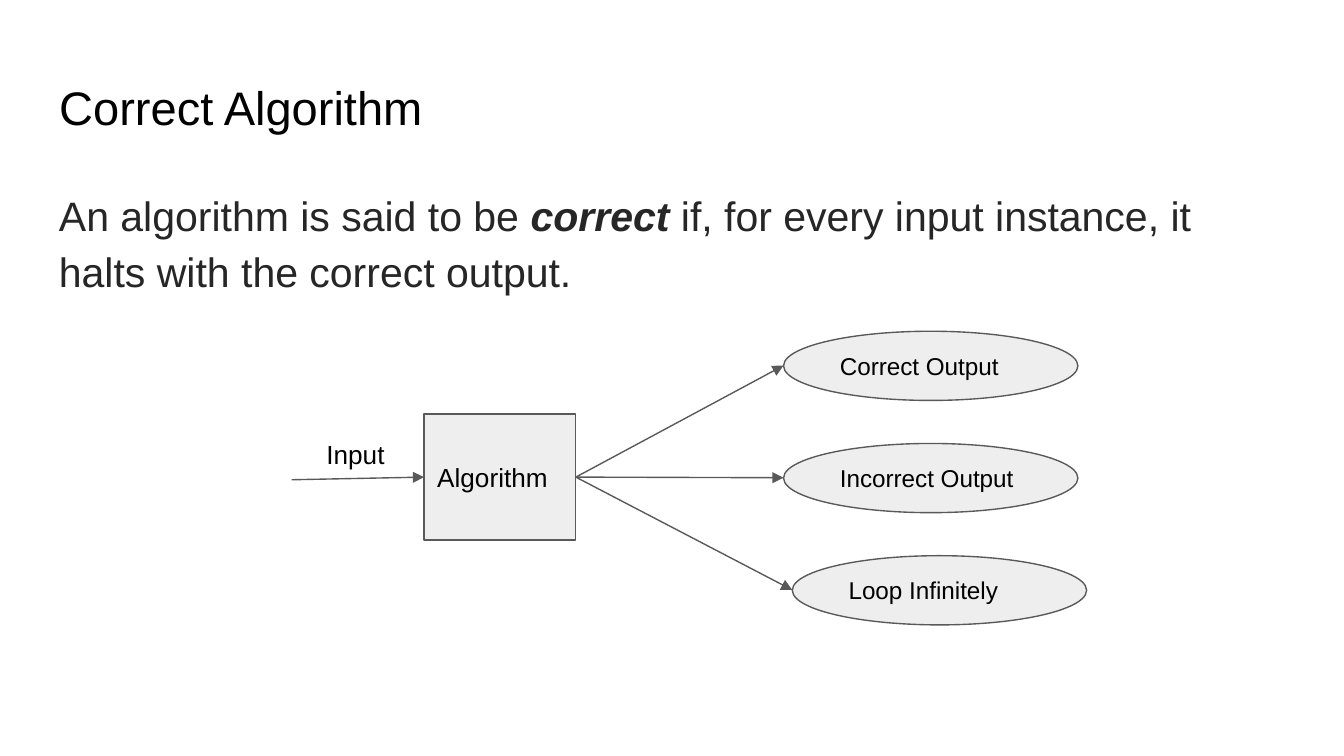
from typing import NamedTuple

from lxml.etree import SubElement
from pptx import Presentation
from pptx.dml.color import RGBColor
from pptx.enum.shapes import MSO_CONNECTOR, MSO_SHAPE
from pptx.enum.text import MSO_ANCHOR, PP_ALIGN
from pptx.oxml.ns import qn
from pptx.util import Emu, Pt

PX = 4572  # EMU per px, 200 px to the inch
FONT = "Arial"
BLACK, BODY, FILL, LINE = "000000", "262626", "EEEEEE", "595959"


class Box(NamedTuple):
    left: int
    top: int
    width: int
    height: int

    @property
    def left_mid(self) -> tuple[int, int]:
        return self.left, self.top + self.height // 2

    @property
    def right_mid(self) -> tuple[int, int]:
        return self.left + self.width, self.top + self.height // 2


class Node(NamedTuple):
    text: str
    box: Box
    shape: MSO_SHAPE
    size: int


ALGORITHM = Node("Algorithm", Box(631, 616, 226, 188), MSO_SHAPE.RECTANGLE, 14)
OUTCOMES = [
    Node(text, Box(left, 493 + 167 * row, 438, 103), MSO_SHAPE.OVAL, 13)
    for row, (text, left) in enumerate((
        ("Correct Output", 1166),
        ("Incorrect Output", 1166),
        ("Loop Infinitely", 1179),
    ))
]
INPUT_START = (434, 714)


def px(*values: int) -> list[Emu]:
    return [Emu(v * PX) for v in values]


def rgb(color: str) -> RGBColor:
    return RGBColor.from_string(color)


def style_frame(tf, size: float, color: str, anchor=MSO_ANCHOR.TOP, wrap=True) -> None:
    tf.margin_left, tf.margin_top, tf.margin_right, tf.margin_bottom = px(20, 20, 20, 20)
    tf.vertical_anchor = anchor
    tf.word_wrap = wrap
    for p in tf.paragraphs:
        p.alignment = PP_ALIGN.LEFT
        for r in p.runs:
            r.font.name = FONT
            r.font.size = Pt(size)
            r.font.color.rgb = rgb(color)


def add_title(s, text: str, box: Box) -> None:
    sp = s.shapes.title
    sp.left, sp.top, sp.width, sp.height = px(*box)
    sp.text_frame.text = text
    style_frame(sp.text_frame, 25.2, BLACK)


def add_definition(s, box: Box) -> None:
    tf = s.shapes.add_textbox(*px(*box)).text_frame
    p = tf.paragraphs[0]
    p.line_spacing = 1.15
    for text, strong in (
        ("An algorithm is said to be ", False),
        ("correct ", True),
        ("if, for every input instance, it halts with the correct output.", False),
    ):
        r = p.add_run()
        r.text = text
        r.font.bold = r.font.italic = strong
    style_frame(tf, 22, BODY)


def add_label(s, text: str, box: Box) -> None:
    tf = s.shapes.add_textbox(*px(*box)).text_frame
    tf.text = text
    style_frame(tf, 14, BLACK, wrap=False)


def add_node(s, node: Node) -> None:
    sp = s.shapes.add_shape(node.shape, *px(*node.box))
    sp.shadow.inherit = False
    sp.fill.solid()
    sp.fill.fore_color.rgb = rgb(FILL)
    sp.line.color.rgb = rgb(LINE)
    sp.line.width = Pt(0.75)
    sp.text_frame.text = node.text
    style_frame(sp.text_frame, node.size, BLACK, MSO_ANCHOR.MIDDLE)


def add_arrow(s, start: tuple[int, int], end: tuple[int, int]) -> None:
    cxn = s.shapes.add_connector(MSO_CONNECTOR.STRAIGHT, *px(*start, *end))
    cxn.line.color.rgb = rgb(LINE)
    cxn.line.width = Pt(0.75)
    SubElement(cxn.line._get_or_add_ln(), qn("a:tailEnd"), type="triangle")
    SubElement(cxn._element.spPr, qn("a:effectLst"))


def main() -> None:
    prs = Presentation()
    prs.slide_width, prs.slide_height = px(2000, 1125)
    s = prs.slides.add_slide(prs.slide_layouts[5])

    add_title(s, "Correct Algorithm", Box(68, 97, 1864, 126))
    add_definition(s, Box(68, 252, 1864, 748))

    add_node(s, ALGORITHM)
    add_arrow(s, INPUT_START, ALGORITHM.box.left_mid)
    add_label(s, "Input", Box(466, 632, 136, 88))
    for outcome in OUTCOMES:
        add_node(s, outcome)
        add_arrow(s, ALGORITHM.box.right_mid, outcome.box.left_mid)

    prs.save("out.pptx")


if __name__ == "__main__":
    main()
